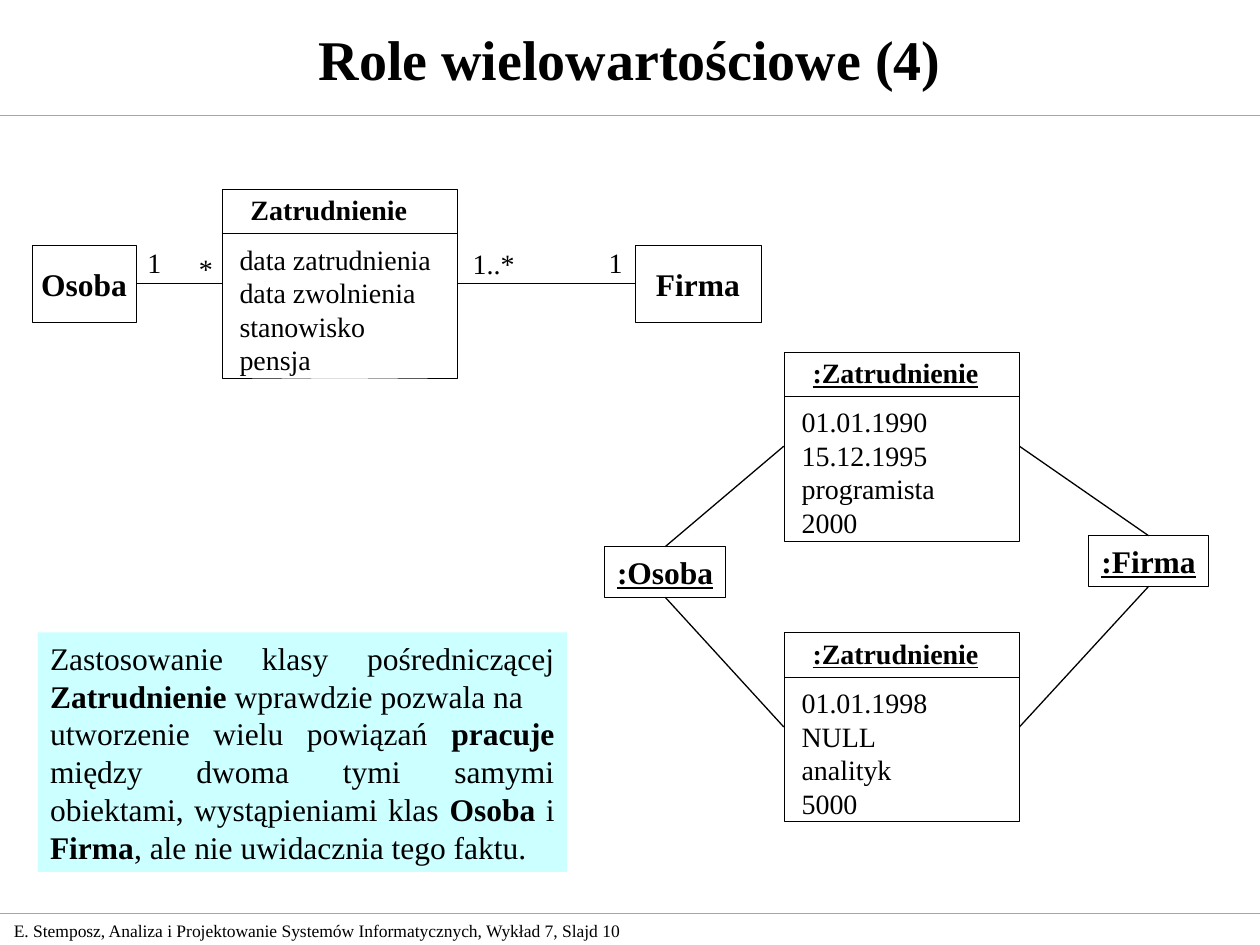
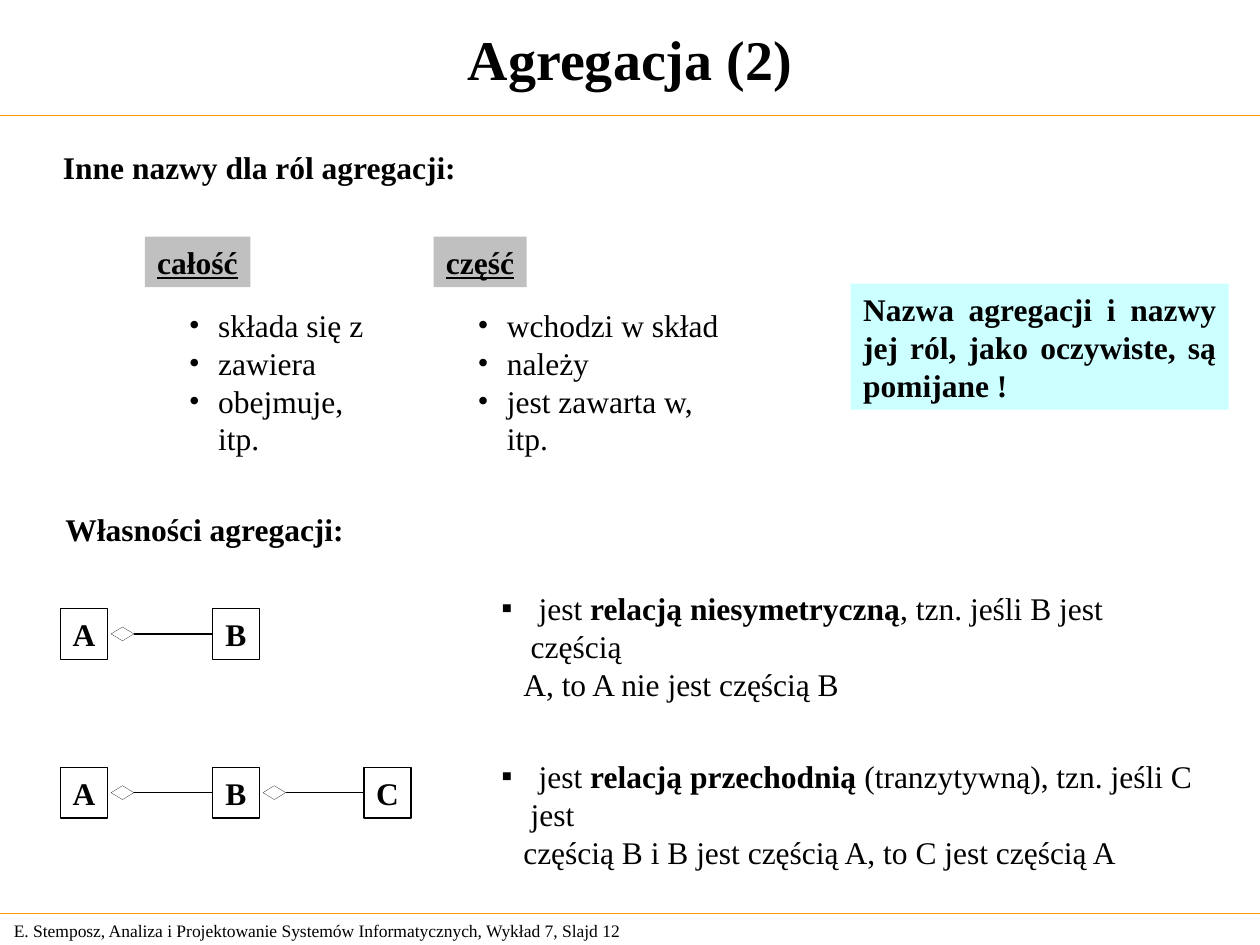
from lxml.etree import SubElement
from pptx import Presentation
from pptx.dml.color import RGBColor
from pptx.enum.shapes import MSO_CONNECTOR, MSO_SHAPE
from pptx.enum.text import MSO_ANCHOR as Anchor, MSO_AUTO_SIZE as AutoSize, PP_ALIGN as Align
from pptx.oxml.ns import qn
from pptx.util import Cm, Pt

BLACK = RGBColor(0x00, 0x00, 0x00)
WHITE = RGBColor(0xFF, 0xFF, 0xFF)
ORANGE = RGBColor(0xFF, 0x99, 0x00)
GREY = RGBColor(0xC0, 0xC0, 0xC0)
AQUA = RGBColor(0xCC, 0xFF, 0xFF)

FONT = "Times New Roman"
PAGE_WIDTH, PAGE_HEIGHT = 25.4, 19.05
TITLE_HEIGHT, FOOTER_TOP = 2.33, 18.42
HAIRLINE, THIN = 0.11, 0.75
HANGING = Cm(0.59)
TOP, LEFT, BOTTOM, RIGHT = range(4)  # connection sites of rectangles and diamonds


def write_text(frame, paragraphs, size=18, bold=False, underline=False,
               align=Align.LEFT, anchor=Anchor.TOP, wrap=False, padding=(0.25, 0.13)):
    """Fill a text frame; words between ** marks are bold."""
    frame.word_wrap = wrap
    frame.vertical_anchor = anchor
    frame.margin_left = frame.margin_right = Cm(padding[0])
    frame.margin_top = frame.margin_bottom = Cm(padding[1])
    for number, text in enumerate(paragraphs):
        para = frame.add_paragraph() if number else frame.paragraphs[0]
        para.alignment = align
        for part, words in enumerate(text.split("**")):
            if not words:
                continue
            span = para.add_run()
            span.text = words
            span.font.name = FONT
            span.font.size = Pt(size)
            span.font.bold = bold or part % 2 == 1
            span.font.underline = underline
            span.font.color.rgb = BLACK


def add_text(page, left, top, width, height, *paragraphs, **text_format):
    box = page.shapes.add_textbox(Cm(left), Cm(top), Cm(width), Cm(height))
    write_text(box.text_frame, paragraphs, **text_format)
    box.text_frame.auto_size = AutoSize.SHAPE_TO_FIT_TEXT
    return box


def add_box(page, left, top, width, height, *paragraphs, kind=MSO_SHAPE.RECTANGLE,
            fill=None, outline=None, **text_format):
    box = page.shapes.add_shape(kind, Cm(left), Cm(top), Cm(width), Cm(height))
    box.shadow.inherit = False
    if fill is None:
        box.fill.background()
    else:
        box.fill.solid()
        box.fill.fore_color.rgb = fill
    if outline is None:
        box.line.fill.background()
    else:
        box.line.color.rgb = BLACK
        box.line.width = Pt(outline)
    write_text(box.text_frame, paragraphs, **text_format)
    return box


def add_line(page, left=0, top=0, right=0, bottom=0, color=BLACK, width=THIN):
    line = page.shapes.add_connector(
        MSO_CONNECTOR.STRAIGHT, Cm(left), Cm(top), Cm(right), Cm(bottom))
    line.line.color.rgb = color
    line.line.width = Pt(width)
    SubElement(line._element.spPr, qn("a:effectLst"))
    return line


def link(page, start, start_site, end, end_site):
    line = add_line(page)
    line.begin_connect(start, start_site)
    line.end_connect(end, end_site)


def add_bullet(para, symbol):
    properties = para._p.get_or_add_pPr()
    properties.set("marL", str(HANGING))
    properties.set("indent", str(-HANGING))
    color = SubElement(properties, qn("a:buClr"))
    SubElement(color, qn("a:srgbClr")).set("val", str(BLACK))
    SubElement(properties, qn("a:buFont")).set("typeface", FONT)
    SubElement(properties, qn("a:buChar")).set("char", symbol)


def add_page(deck, title, number):
    """Title-only slide with the shared rules and footer."""
    page = deck.slides.add_slide(deck.slide_layouts[5])
    heading = page.shapes.title
    heading.left, heading.top = Cm(0), Cm(0)
    heading.width, heading.height = Cm(PAGE_WIDTH), Cm(TITLE_HEIGHT)
    write_text(heading.text_frame, [title], size=32, bold=True, wrap=True,
               align=Align.CENTER, anchor=Anchor.MIDDLE)
    heading.text_frame.auto_size = AutoSize.NONE
    for height in (TITLE_HEIGHT, FOOTER_TOP):
        add_line(page, 0, height, PAGE_WIDTH, height, color=ORANGE)
    add_text(page, 0.03, FOOTER_TOP, 13.31, 0.68,
             "E. Stemposz, Analiza i Projektowanie Systemów Informatycznych, "
             f"Wykład 7, Slajd {number}", size=10, wrap=True, anchor=Anchor.MIDDLE)
    return page


def add_label(page, left, top, width, text, **text_format):
    add_text(page, left, top, width, 0.68, text, size=16, padding=(0, 0), **text_format)


def add_node(page, left, top, width, height, text, underline=False):
    return add_box(page, left, top, width, height, text, outline=THIN, bold=True,
                   underline=underline, align=Align.CENTER, anchor=Anchor.MIDDLE)


def add_class(page, left, top, name, fields, underline=False):
    """UML box with a name compartment above its fields."""
    width, divider = 4.75, top + 0.89
    frame = add_box(page, left, top, width, 3.81, fill=WHITE, outline=HAIRLINE)
    add_line(page, left, divider, left + width, divider, width=HAIRLINE)
    add_label(page, left + 0.58, top + 0.08, 3.8, name, bold=True, underline=underline)
    add_text(page, left + 0.36, top + 1.07, 4.2, 2.72, *fields, size=16, padding=(0, 0))
    return frame


def add_note(page, left, top, width, height, *paragraphs, **text_format):
    add_box(page, left, top, width, height, *paragraphs, fill=AQUA,
            align=Align.JUSTIFY, wrap=True, **text_format)


def add_role(page, left, name, name_width, synonyms, list_width):
    add_box(page, left, 4.77, name_width, 1.02, name, fill=GREY, bold=True, underline=True)
    box = add_text(page, left + 0.64, 6.04, list_width, 2.54, *synonyms, wrap=True)
    for para in box.text_frame.paragraphs:
        add_bullet(para, "•")


def add_chain(page, top, names):
    """Row of nodes, each one aggregating the next."""
    step, width, height = 3.06, 0.95, 1.02
    nodes = [add_node(page, 1.22 + step * place, top, width, height, name)
             for place, name in enumerate(names)]
    for place, part in enumerate(nodes[1:]):
        diamond = add_box(page, 2.24 + step * place, top + height / 2 - 0.14, 0.46, 0.28,
                          kind=MSO_SHAPE.DIAMOND, fill=WHITE, outline=HAIRLINE)
        link(page, diamond, RIGHT, part, LEFT)


def add_property(page, top, width, statement, continuation):
    box = add_text(page, 9.86, top, width, 1.78, statement, continuation, wrap=True)
    first, second = box.text_frame.paragraphs
    add_bullet(first, "▪")
    second._p.get_or_add_pPr().set("marL", str(Cm(0.44)))


def build_roles(deck):
    page = add_page(deck, "Role wielowartościowe (4)", 10)

    employment = add_class(page, 4.47, 3.81, "Zatrudnienie",
                           ["data zatrudnienia", "data zwolnienia", "stanowisko", "pensja"])
    person, company = [
        add_box(page, left, 4.94, width, 1.55, name, fill=WHITE, outline=HAIRLINE,
                bold=True, align=Align.CENTER, anchor=Anchor.MIDDLE, padding=(0, 0))
        for left, width, name in ((0.64, 2.11, "Osoba"), (12.8, 2.54, "Firma"))]
    link(page, person, RIGHT, employment, LEFT)
    link(page, employment, RIGHT, company, LEFT)
    for left, top, width, count in ((2.97, 4.95, 0.4, "1"), (4.01, 5.08, 0.4, "*"),
                                    (9.53, 4.98, 1.2, "1..*"), (12.27, 4.95, 0.4, "1")):
        add_label(page, left, top, width, count)

    person = add_node(page, 12.19, 11.02, 2.44, 1.02, ":Osoba", underline=True)
    company = add_node(page, 21.95, 10.8, 2.41, 1.02, ":Firma", underline=True)
    jobs = (
        (7.09, TOP, ["01.01.1990", "15.12.1995", "programista", "2000"]),
        (12.75, BOTTOM, ["01.01.1998", "NULL", "analityk", "5000"]),
    )
    for top, site, values in jobs:
        job = add_class(page, 15.8, top, ":Zatrudnienie", values, underline=True)
        link(page, person, site, job, LEFT)
        link(page, job, RIGHT, company, site)

    add_note(page, 0.76, 12.75, 10.67, 4.83,
             "Zastosowanie klasy pośredniczącej **Zatrudnienie** wprawdzie pozwala na",
             "utworzenie wielu powiązań **pracuje** między dwoma tymi samymi obiektami, "
             "wystąpieniami klas **Osoba** i **Firma**, ale nie uwidacznia tego faktu.")


def build_aggregation(deck):
    page = add_page(deck, "Agregacja (2)", 12)
    add_text(page, 1.02, 2.86, 8.8, 1.02, "Inne nazwy dla ról agregacji:", bold=True)
    add_role(page, 2.92, "całość", 2.13,
             ["składa się z", "zawiera", "obejmuje, itp."], 4.24)
    add_role(page, 8.74, "część", 1.88,
             ["wchodzi w skład", "należy", "jest zawarta w, itp."], 5.51)
    add_note(page, 17.15, 5.72, 7.62, 2.54,
             "Nazwa agregacji i nazwy jej ról, jako oczywiste, są pomijane !", bold=True)

    add_text(page, 1.07, 10.16, 6.6, 1.02, "Własności agregacji:", bold=True)
    add_chain(page, 12.27, "AB")
    add_property(page, 11.75, 14.33,
                 " jest **relacją niesymetryczną**, tzn. jeśli B jest częścią",
                 "A, to A nie jest częścią B")
    add_chain(page, 15.47, "ABC")
    add_property(page, 15.14, 15.19,
                 " jest **relacją przechodnią** (tranzytywną), tzn. jeśli C jest",
                 "częścią B i B jest częścią A, to C jest częścią A")


def main():
    deck = Presentation()
    deck.slide_width, deck.slide_height = Cm(PAGE_WIDTH), Cm(PAGE_HEIGHT)
    build_roles(deck)
    build_aggregation(deck)
    deck.save("out.pptx")


if __name__ == "__main__":
    main()
